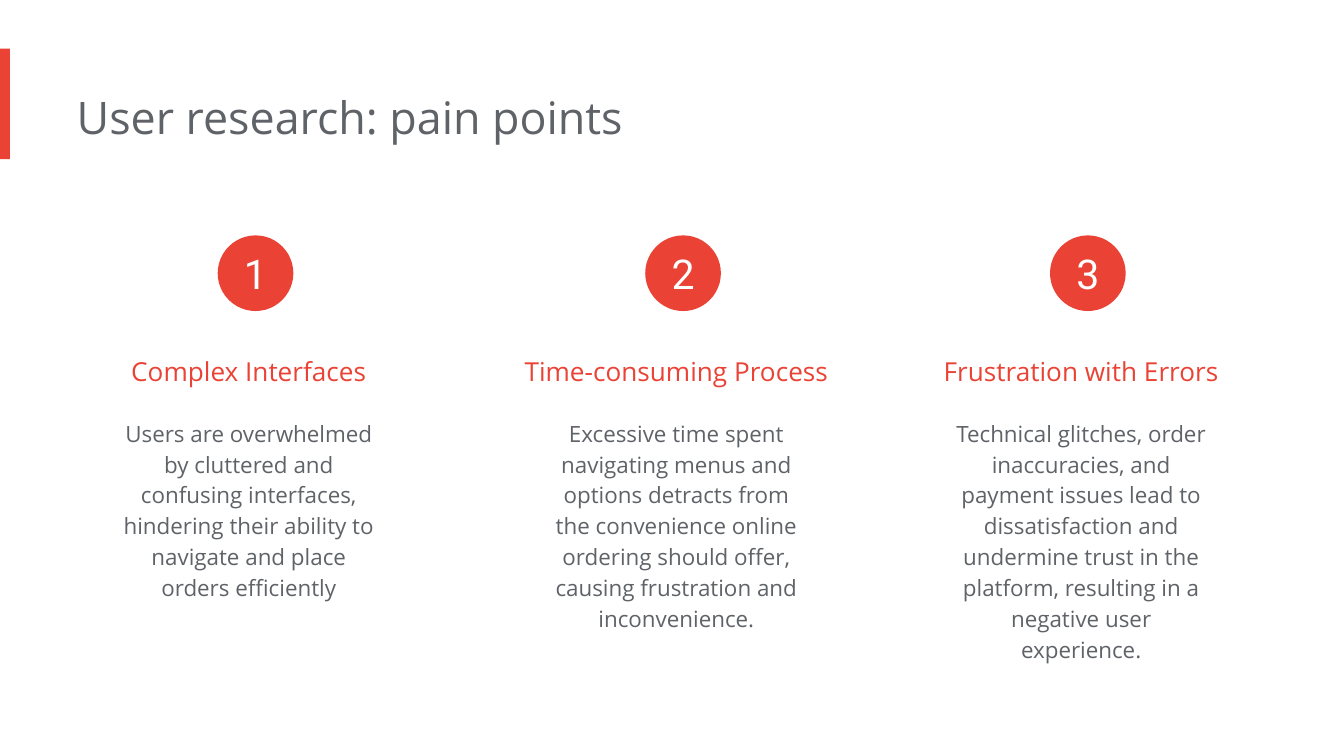
from pptx import Presentation
from pptx.dml.color import RGBColor
from pptx.enum.shapes import MSO_SHAPE as Shape
from pptx.enum.text import MSO_ANCHOR as Anchor, MSO_AUTO_SIZE as AutoSize, PP_ALIGN as Align
from pptx.util import Cm, Pt

RED = RGBColor(0xEA, 0x43, 0x35)
GRAY = RGBColor(0x5F, 0x63, 0x68)
WHITE = RGBColor(0xFF, 0xFF, 0xFF)

BODY_WIDTH = 5.21
BADGE_SIZE = 1.43

# Column centre (cm), heading width (cm), heading, body, body height (cm)
PAIN_POINTS = [
    (4.83, 5.21, "Complex Interfaces",
     "Users are overwhelmed by cluttered and confusing interfaces, "
     "hindering their ability to navigate and place orders efficiently", 4.06),
    (12.91, 6.55, "Time-consuming Process",
     "Excessive time spent navigating menus and options detracts from the "
     "convenience online ordering should offer, causing frustration and "
     "inconvenience.", 4.65),
    (20.56, 5.94, "Frustration with Errors",
     "Technical glitches, order inaccuracies, and payment issues lead to "
     "dissatisfaction and undermine trust in the platform, resulting in a "
     "negative user experience.", 5.23),
]


def style_paragraph(p, size, color, font="Open Sans", align=Align.CENTER):
    p.alignment = align
    p.font.name = font
    p.font.size = Pt(size)
    p.font.color.rgb = color


def set_frame(tf, text):
    """Fill a top-anchored, wrapping frame with no left inset."""
    tf.text = text
    tf.word_wrap = True
    tf.auto_size = AutoSize.SHAPE_TO_FIT_TEXT
    tf.vertical_anchor = Anchor.TOP
    tf.margin_left = 0
    tf.margin_top = tf.margin_right = tf.margin_bottom = Cm(0.25)
    return tf.paragraphs[0]


def add_filled_shape(slide, kind, left, top, width, height):
    sp = slide.shapes.add_shape(kind, Cm(left), Cm(top), Cm(width), Cm(height))
    sp.shadow.inherit = False
    sp.fill.solid()
    sp.fill.fore_color.rgb = RED
    sp.line.fill.background()
    return sp


def add_title(slide, text):
    sp = slide.shapes.title
    sp.left, sp.top, sp.width, sp.height = Cm(1.45), Cm(1.45), Cm(17.1), Cm(1.55)
    p = set_frame(sp.text_frame, text)
    style_paragraph(p, 24, GRAY, align=Align.LEFT)


def add_centered_text(slide, center, top, width, height, text, size, color, spacing):
    box = slide.shapes.add_textbox(Cm(center - width / 2), Cm(top), Cm(width), Cm(height))
    p = set_frame(box.text_frame, text)
    style_paragraph(p, size, color)
    p.line_spacing = spacing


def add_badge(slide, center, number):
    sp = add_filled_shape(slide, Shape.OVAL, center - BADGE_SIZE / 2, 4.45,
                          BADGE_SIZE, BADGE_SIZE)
    tf = sp.text_frame
    tf.margin_left = tf.margin_top = tf.margin_right = tf.margin_bottom = 0
    tf.vertical_anchor = Anchor.MIDDLE
    tf.text = str(number)
    style_paragraph(tf.paragraphs[0], 22, WHITE, font="Roboto")


def main():
    prs = Presentation()
    prs.slide_width, prs.slide_height = Cm(25.4), Cm(14.29)
    slide = prs.slides.add_slide(prs.slide_layouts[5])

    add_filled_shape(slide, Shape.RECTANGLE, 0, 0.92, 0.19, 2.09)
    add_title(slide, "User research: pain points")
    for number, (center, width, heading, body, height) in enumerate(PAIN_POINTS, 1):
        add_badge(slide, center, number)
        add_centered_text(slide, center, 6.18, width, 1.43, heading, 14, RED, 1.5)
        add_centered_text(slide, center, 7.61, BODY_WIDTH, height, body, 12, GRAY, 1.15)

    prs.save("out.pptx")


if __name__ == "__main__":
    main()
